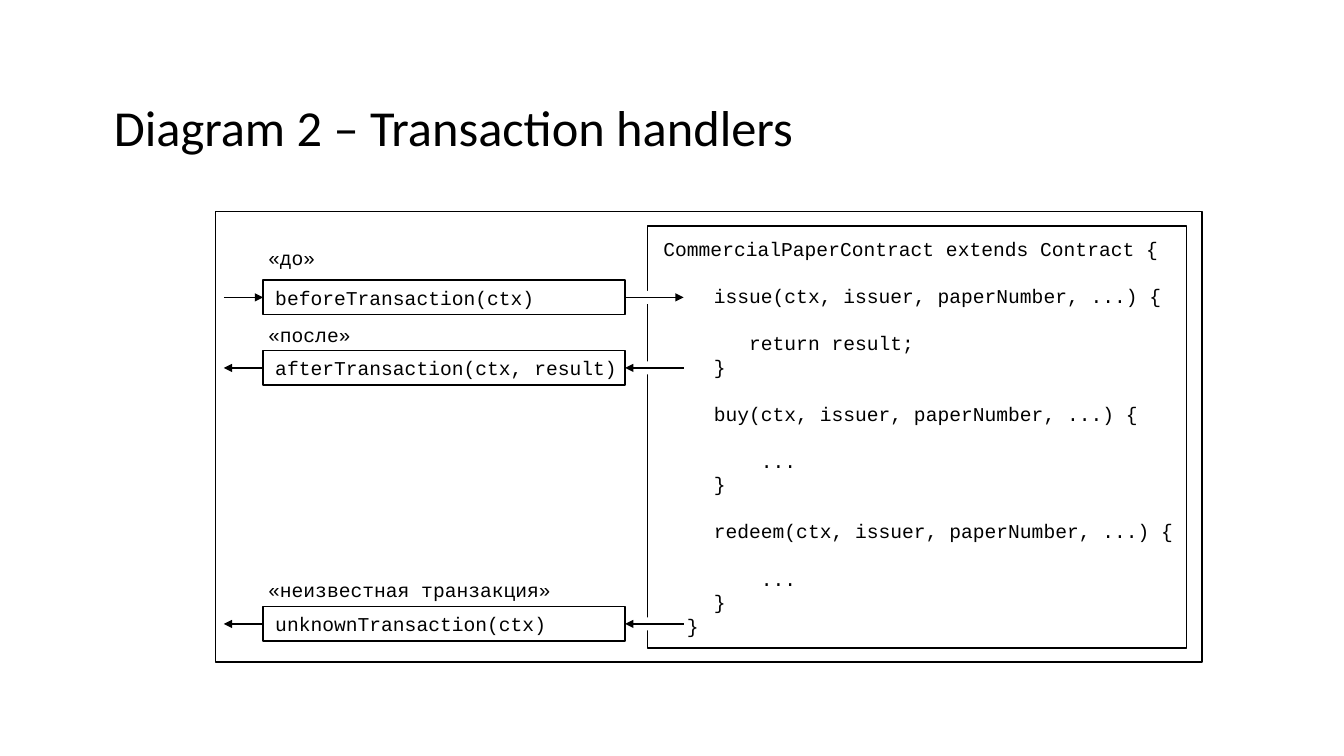
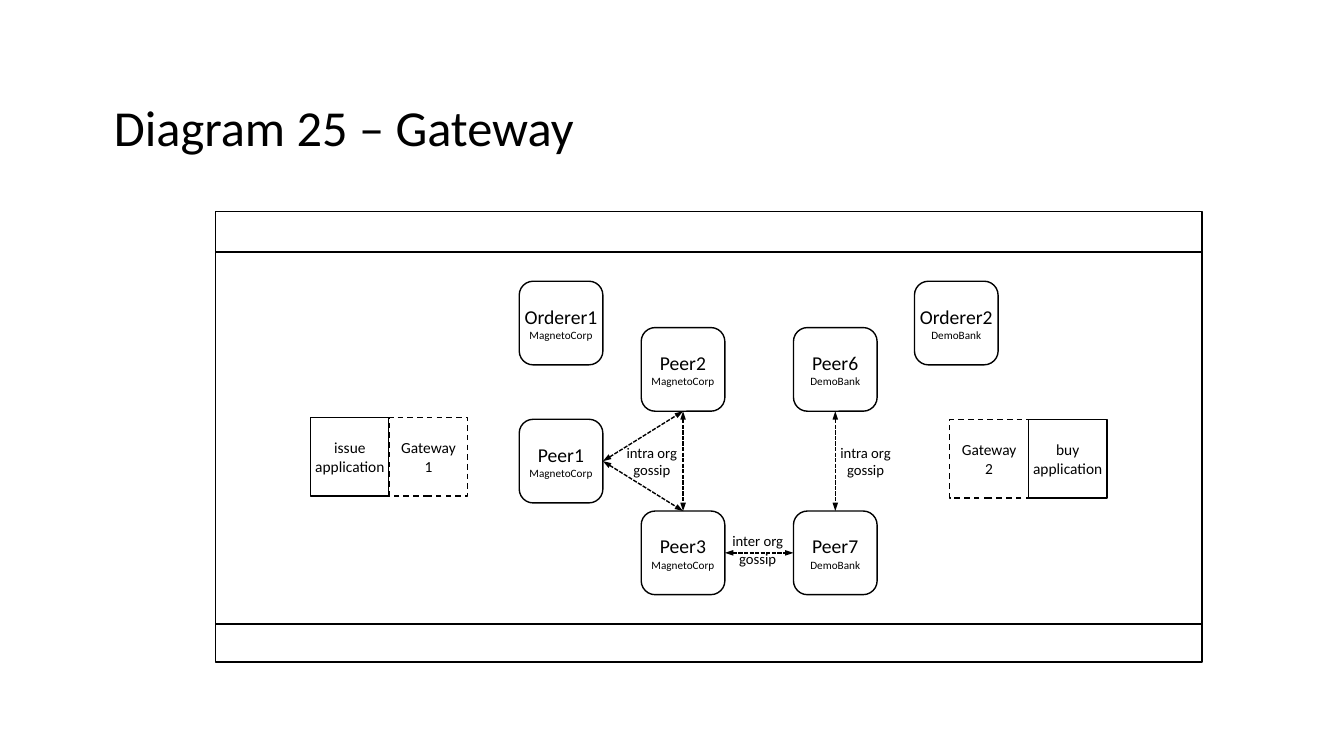
from collections import namedtuple

from lxml import etree
from pptx import Presentation
from pptx.dml.color import RGBColor
from pptx.enum.dml import MSO_LINE
from pptx.enum.shapes import MSO_CONNECTOR, MSO_SHAPE
from pptx.enum.text import MSO_ANCHOR, PP_ALIGN
from pptx.oxml.ns import qn
from pptx.util import Inches, Pt

BLACK = RGBColor(0, 0, 0)
WHITE = RGBColor(255, 255, 255)
SANS, MONO = "Calibri", "Courier New"
LEFT, CENTER = PP_ALIGN.LEFT, PP_ALIGN.CENTER
TOP, MIDDLE = MSO_ANCHOR.TOP, MSO_ANCHOR.MIDDLE
RECT, ROUND_RECT = MSO_SHAPE.RECTANGLE, MSO_SHAPE.ROUNDED_RECTANGLE
STRAIGHT = MSO_CONNECTOR.STRAIGHT
DASH, SHORT_DASH = MSO_LINE.DASH, MSO_LINE.SQUARE_DOT
SITE_TOP, SITE_LEFT, SITE_BOTTOM, SITE_RIGHT = range(4)
TITLE_ONLY = 5
PAD = 0.05
CODE_SIZE = 14
CODE_PITCH = Pt(16.8)

Box = namedtuple("Box", "left top width height")
FRAME = Box(2.14, 2.1, 9.78, 4.47)
TITLE = Box(1.08, 0.57, 11.5, 1.45)

CONTRACT_CODE = [
    (0, False, "CommercialPaperContract extends Contract {"),
    (1, True, "issue(ctx, issuer, paperNumber, ...) {"),
    (1, True, "   return result;"),
    (1, False, "}"),
    (1, True, "buy(ctx, issuer, paperNumber, ...) {"),
    (1, True, "    ..."),
    (1, False, "}"),
    (1, True, "redeem(ctx, issuer, paperNumber, ...) {"),
    (1, True, "    ..."),
    (1, False, "}"),
    (0, False, "  }"),
]

HANDLERS = [
    (0.68, 0.39, "«до»", "beforeTransaction(ctx)", True),
    (1.38, 0.33, "«после»", "afterTransaction(ctx, result)", False),
    (3.92, 0.34, "«неизвестная транзакция»", "unknownTransaction(ctx)", False),
]

NODE_SIZE = 0.83
NODE_COLUMNS = (3.01, 4.22, 5.73, 6.93)
NODE_ROWS = (0.69, 1.15, 2.06, 2.97)
SELLER, BUYER = "MagnetoCorp", "DemoBank"
NODES = [
    ("Orderer1", SELLER, 0, 0),
    ("Peer1", SELLER, 0, 2),
    ("Peer2", SELLER, 1, 1),
    ("Peer3", SELLER, 1, 3),
    ("Peer6", BUYER, 2, 1),
    ("Peer7", BUYER, 2, 3),
    ("Orderer2", BUYER, 3, 0),
]
GOSSIP_LINKS = [
    ("Peer1", SITE_RIGHT, "Peer2", SITE_BOTTOM),
    ("Peer1", SITE_RIGHT, "Peer3", SITE_TOP),
    ("Peer2", SITE_BOTTOM, "Peer3", SITE_TOP),
    ("Peer6", SITE_BOTTOM, "Peer7", SITE_TOP),
    ("Peer3", SITE_RIGHT, "Peer7", SITE_LEFT),
]
GOSSIP_LABELS = [
    ("intra org", 4.02, 2.25),
    ("intra org", 6.14, 2.25),
    ("inter org", 5.07, 3.13),
]

CLIENT_SIZE = 0.78
CLIENTS = [
    (0.94, 2.04, ["issue application"], None),
    (1.72, 2.04, ["Gateway", "1"], DASH),
    (7.28, 2.06, ["Gateway", "2"], DASH),
    (8.06, 2.06, ["buy application"], None),
]


def within(area, left, top, width, height):
    return Box(area.left + left, area.top + top, width, height)


def inches(box):
    return [Inches(length) for length in box]


def set_margins(frame, left=PAD, right=PAD):
    frame.margin_left, frame.margin_right = Inches(left), Inches(right)
    frame.margin_top = frame.margin_bottom = Inches(PAD)


def style_para(para, size, font=SANS, align=LEFT):
    para.alignment = align
    para.font.size = Pt(size)
    para.font.name = font
    para.font.color.rgb = BLACK


def write_lines(frame, lines, font=SANS, align=LEFT, anchor=MIDDLE, wrap=True):
    frame.word_wrap = wrap
    frame.vertical_anchor = anchor
    for index, (text, size) in enumerate(lines):
        para = frame.add_paragraph() if index else frame.paragraphs[0]
        para.text = text
        style_para(para, size, font, align)


def add_box(page, box, kind=RECT, fill=WHITE, outlined=True, dash=None):
    shape = page.shapes.add_shape(kind, *inches(box))
    shape.shadow.inherit = False
    if fill is None:
        shape.fill.background()
    else:
        shape.fill.solid()
        shape.fill.fore_color.rgb = fill
    if outlined:
        shape.line.color.rgb = BLACK
        shape.line.width = Pt(1)
        if dash is not None:
            shape.line.dash_style = dash
    else:
        shape.line.fill.background()
    return shape


def add_label(page, box, lines, **style):
    label = page.shapes.add_textbox(*inches(box))
    set_margins(label.text_frame)
    write_lines(label.text_frame, lines, anchor=TOP, **style)


def add_arrow(page, start=(0, 0), end=(0, 0), ends=("tailEnd",), dash=None,
              head_width="med"):
    arrow = page.shapes.add_connector(STRAIGHT, *inches(start + end))
    arrow.line.color.rgb = BLACK
    arrow.line.width = Pt(1)
    if dash is not None:
        arrow.line.dash_style = dash
    properties = arrow._element.spPr
    outline = properties.find(qn("a:ln"))
    for name in ends:
        etree.SubElement(outline, qn("a:" + name), type="triangle", w=head_width)
    etree.SubElement(properties, qn("a:effectLst"))
    return arrow


def add_page(deck, heading):
    page = deck.slides.add_slide(deck.slide_layouts[TITLE_ONLY])
    title = page.shapes.title
    title.left, title.top, title.width, title.height = inches(TITLE)
    set_margins(title.text_frame)
    write_lines(title.text_frame, [(heading, 36)])
    title.text_frame.paragraphs[0].line_spacing = 0.9
    add_box(page, FRAME, fill=None)
    return page


def add_contract(page, box):
    frame = add_box(page, box).text_frame
    set_margins(frame, left=0.16)
    write_lines(frame, [(text, CODE_SIZE) for _, _, text in CONTRACT_CODE], MONO)
    for para, (level, gap, _) in zip(frame.paragraphs, CONTRACT_CODE):
        para.line_spacing = CODE_PITCH
        para.space_before = CODE_PITCH if gap else Pt(0)
        para.level = level
        properties = para._p.get_or_add_pPr()
        properties.set("marL", str(Inches(0.5 * level)))
        properties.set("indent", "0")


def add_handler(page, area, contract, handler):
    top, rise, caption, call, inward = handler
    box = within(area, 0.47, top, 3.59, 0.34)
    add_label(page, within(area, 0.47, top - rise, 3.02, 0.34),
              [(caption, CODE_SIZE)], font=MONO)
    frame = add_box(page, box).text_frame
    set_margins(frame, left=0.12, right=0)
    write_lines(frame, [(call, CODE_SIZE)], MONO)

    middle = box.top + box.height / 2
    gap = 0.13
    add_box(page, Box(contract.left - gap / 2, middle - gap / 2, gap, gap),
            outlined=False)
    ends = ("tailEnd",) if inward else ("headEnd",)
    right = box.left + box.width
    for start, end in ((area.left + 0.08, box.left), (right, right + 0.58)):
        add_arrow(page, (start, middle), (end, middle), ends)


def build_handlers(deck):
    page = add_page(deck, "Diagram 2 – Transaction handlers")
    contract = within(FRAME, 4.28, 0.14, 5.35, 4.19)
    add_contract(page, contract)
    for handler in HANDLERS:
        add_handler(page, FRAME, contract, handler)


def add_centered_box(page, box, lines, **style):
    shape = add_box(page, box, **style)
    set_margins(shape.text_frame, 0, 0)
    write_lines(shape.text_frame, lines, align=CENTER)
    return shape


def add_network(page, area):
    nodes = {}
    for name, owner, column, row in NODES:
        box = within(area, NODE_COLUMNS[column], NODE_ROWS[row],
                     NODE_SIZE, NODE_SIZE)
        nodes[name] = add_centered_box(page, box, [(name, 14), (owner, 8)],
                                       kind=ROUND_RECT)
    for source, source_site, target, target_site in GOSSIP_LINKS:
        link = add_arrow(page, ends=("headEnd", "tailEnd"), dash=SHORT_DASH,
                         head_width="sm")
        link.begin_connect(nodes[source], source_site)
        link.end_connect(nodes[target], target_site)
    for scope, left, top in GOSSIP_LABELS:
        add_label(page, within(area, left, top, 0.61, 0.45),
                  [(scope, 10.5), ("gossip", 10.5)], align=CENTER, wrap=False)


def add_clients(page, area):
    for left, top, lines, dash in CLIENTS:
        add_centered_box(page, within(area, left, top, CLIENT_SIZE, CLIENT_SIZE),
                         [(line, 11) for line in lines], dash=dash)


def build_gateway(deck):
    page = add_page(deck, "Diagram 25 – Gateway")
    add_box(page, within(FRAME, 0, 0.4, FRAME.width, 3.69), fill=None)
    add_network(page, FRAME)
    add_clients(page, FRAME)


def main():
    deck = Presentation()
    deck.slide_width, deck.slide_height = Inches(13.33), Inches(7.5)
    build_handlers(deck)
    build_gateway(deck)
    deck.save("out.pptx")


if __name__ == "__main__":
    main()
